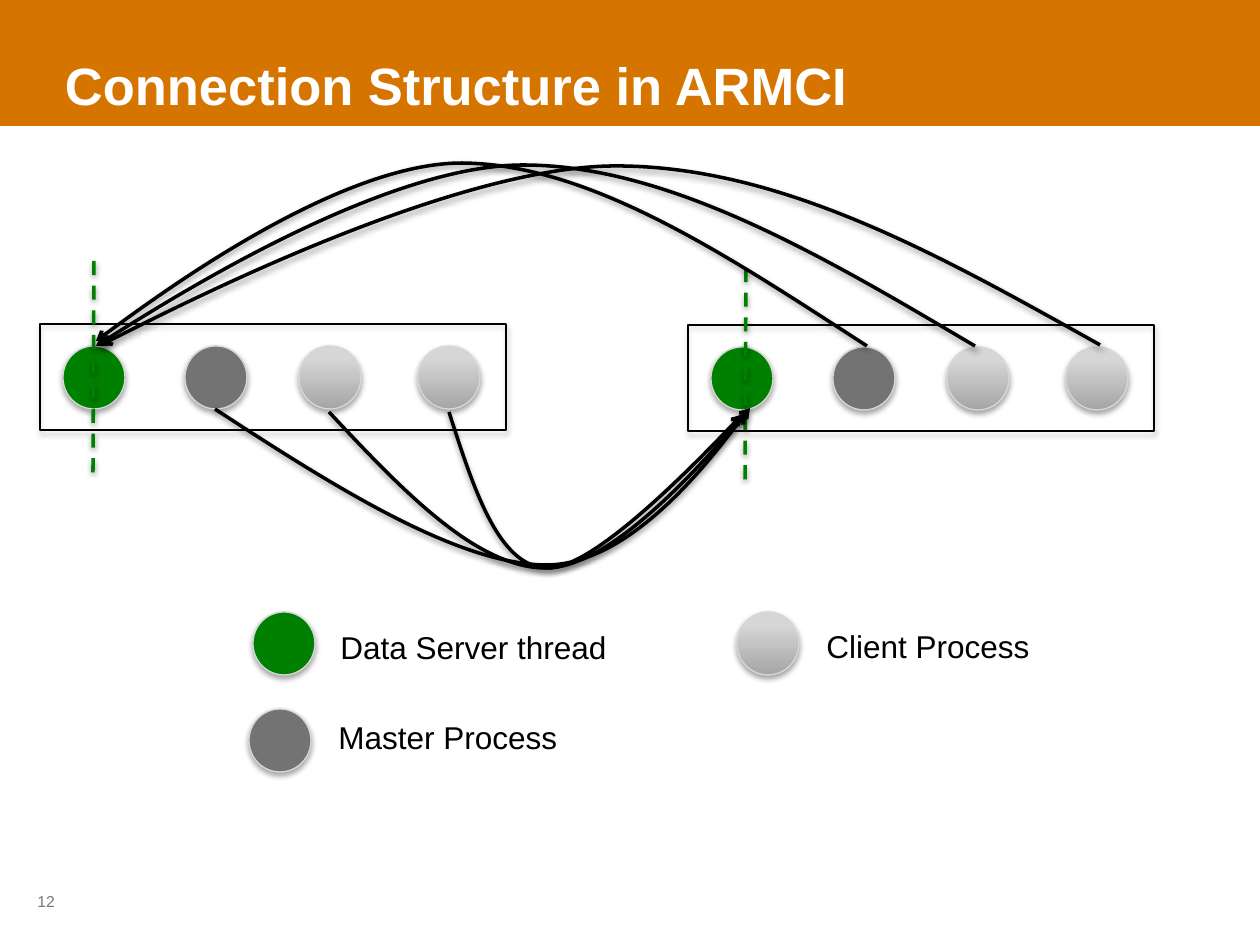
from dataclasses import dataclass

from lxml.etree import SubElement
from pptx import Presentation
from pptx.dml.color import RGBColor
from pptx.enum.dml import MSO_LINE
from pptx.enum.shapes import MSO_CONNECTOR, MSO_SHAPE
from pptx.enum.text import MSO_ANCHOR, MSO_AUTO_SIZE
from pptx.oxml.ns import qn
from pptx.slide import Slide
from pptx.util import Emu, Pt

SCALE = 914400 / 126
COLORS = {
    "banner": "D57500", "white": "FFFFFF", "black": "000000", "number": "777777",
    "server": "008000", "master": "737373", "rim": "D8D8D8",
}
CLIENT_STOPS = ((0, "A5A5A5"), (80, "D6D6D6"), (100, "D7D7D7"))
CIRCLE_WIDTH, CIRCLE_HEIGHT = 62, 63


@dataclass(frozen=True)
class Node:
    left: int
    top: int


@dataclass(frozen=True)
class Process:
    offset: int
    kind: str


@dataclass(frozen=True)
class LegendEntry:
    kind: str
    circle: tuple[int, int]
    label: str
    box: tuple[int, int, int, int]


@dataclass(frozen=True)
class Connection:
    start: tuple[int, int]
    leave: tuple[int, int]
    approach: tuple[int, int]
    middle: tuple[int, int]
    depart: tuple[int, int]
    end: tuple[int, int]


NODES = (Node(40, 324), Node(688, 325))
PROCESSES = (
    Process(23, "server"), Process(145, "master"),
    Process(259, "client"), Process(378, "client"),
)
LEGEND = (
    LegendEntry("server", (253, 612), "Data Server thread", (328, 622, 294, 50)),
    LegendEntry("master", (249, 709), "Master Process", (326, 712, 247, 50)),
    LegendEntry("client", (737, 612), "Client Process", (814, 621, 231, 50)),
)
THREAD_LINES = ((94, 261, 93, 476), (746, 268, 745, 484))
CONNECTIONS = (
    Connection((867, 346), (728, 256), (591, 164), (462, 163), (333, 163), (96, 341)),
    Connection((975, 346), (823, 256), (669, 165), (523, 165), (377, 165), (96, 346)),
    Connection((1100, 345), (941, 256), (782, 166), (616, 166), (449, 166), (101, 345)),
    Connection((215, 409), (336, 488), (457, 564), (546, 565), (634, 565), (746, 413)),
    Connection((329, 412), (402, 490), (476, 568), (546, 568), (616, 568), (750, 408)),
    Connection((449, 412), (474, 490), (499, 568), (548, 568), (596, 569), (742, 415)),
)


def px(length: int) -> Emu:
    """Turn pixels into EMU."""
    return Emu(round(length * SCALE))


def color(name: str) -> RGBColor:
    """Look up a named colour."""
    return RGBColor.from_string(COLORS[name])


def add_shadow(shape, opacity: int, distance: int) -> None:
    """Give a shape a soft shadow that falls straight down."""
    effects = SubElement(shape.element.spPr, qn("a:effectLst"))
    shadow = SubElement(effects, qn("a:outerShdw"), blurRad="40000", dist=str(distance),
                        dir="5400000", rotWithShape="0")
    tint = SubElement(shadow, qn("a:srgbClr"), val=COLORS["black"])
    SubElement(tint, qn("a:alpha"), val=str(opacity * 1000))


def set_line(shape, name: str, width: float) -> None:
    """Set the colour and width of an outline."""
    shape.line.color.rgb = color(name)
    shape.line.width = Pt(width)


def fill_client(shape) -> None:
    """Fill a client circle with its vertical grey gradient."""
    shape.fill.gradient()
    shape.fill.gradient_angle = 90
    stops = shape.element.spPr.find(".//" + qn("a:gsLst"))
    for stop in list(stops):
        stops.remove(stop)
    for position, value in CLIENT_STOPS:
        stop = SubElement(stops, qn("a:gs"), pos=str(position * 1000))
        SubElement(stop, qn("a:srgbClr"), val=value)


def add_circle(slide: Slide, kind: str, left: int, top: int) -> None:
    """Draw one process circle."""
    shape = slide.shapes.add_shape(MSO_SHAPE.OVAL, px(left), px(top),
                                   px(CIRCLE_WIDTH), px(CIRCLE_HEIGHT))
    if kind == "client":
        fill_client(shape)
    else:
        shape.fill.solid()
        shape.fill.fore_color.rgb = color(kind)
    set_line(shape, "rim", 0.75)
    add_shadow(shape, 35, 23000)


def add_node(slide: Slide, node: Node) -> None:
    """Draw a node frame with its processes."""
    frame = slide.shapes.add_shape(MSO_SHAPE.RECTANGLE, px(node.left), px(node.top),
                                   px(466), px(106))
    frame.fill.background()
    set_line(frame, "black", 0.75)
    add_shadow(frame, 35, 23000)
    for process in PROCESSES:
        add_circle(slide, process.kind, node.left + process.offset, node.top + 22)


def add_text(slide: Slide, text: str, box: tuple[int, int, int, int], size: int,
             name: str, wrap: bool = True):
    """Add a one-run text box and return its frame."""
    frame = slide.shapes.add_textbox(*map(px, box)).text_frame
    frame.word_wrap = wrap
    frame.auto_size = MSO_AUTO_SIZE.NONE if wrap else MSO_AUTO_SIZE.SHAPE_TO_FIT_TEXT
    frame.vertical_anchor = MSO_ANCHOR.TOP
    run = frame.paragraphs[0].add_run()
    run.text = text
    run.font.name = "Arial"
    run.font.size = Pt(size)
    run.font.color.rgb = color(name)
    return frame


def add_title(slide: Slide, text: str) -> None:
    """Draw the banner and the bold title on it."""
    banner = slide.shapes.add_shape(MSO_SHAPE.RECTANGLE, 0, 0, px(1260), px(126))
    banner.shadow.inherit = False
    banner.fill.solid()
    banner.fill.fore_color.rgb = color("banner")
    banner.line.fill.background()
    frame = add_text(slide, text, (65, 63, 1130, 136), 30, "white")
    frame.margin_left = frame.margin_right = frame.margin_top = frame.margin_bottom = 0
    paragraph = frame.paragraphs[0]
    paragraph.line_spacing = 0.85
    paragraph.runs[0].font.bold = True


def add_thread_line(slide: Slide, ends: tuple[int, int, int, int]) -> None:
    """Draw the dashed line through a data server."""
    line = slide.shapes.add_connector(MSO_CONNECTOR.STRAIGHT, *map(px, ends))
    set_line(line, "server", 2)
    line.line.dash_style = MSO_LINE.DASH
    add_shadow(line, 38, 20000)


def add_connection(slide: Slide, link: Connection) -> None:
    """Draw a curved arrow made of two cubic segments."""
    builder = slide.shapes.build_freeform(*link.start, scale=SCALE)
    builder.add_line_segments((link.leave, link.approach, link.middle,
                               link.depart, link.end, link.end), close=False)
    shape = builder.convert_to_shape()
    outline = shape.element.spPr.find(".//" + qn("a:path"))
    segments = outline.findall(qn("a:lnTo"))
    for first in range(0, len(segments), 3):
        curve = SubElement(outline, qn("a:cubicBezTo"))
        for segment in segments[first:first + 3]:
            curve.append(segment[0])
            outline.remove(segment)
    shape.fill.background()
    set_line(shape, "black", 2)
    SubElement(shape.line._get_or_add_ln(), qn("a:tailEnd"), type="arrow")
    add_shadow(shape, 38, 20000)


def main() -> None:
    """Build the slide and save it."""
    presentation = Presentation()
    presentation.slide_width, presentation.slide_height = px(1260), px(945)
    slide = presentation.slides.add_slide(presentation.slide_layouts[6])
    add_title(slide, "Connection Structure in ARMCI")
    add_text(slide, "12", (25, 886, 84, 32), 9, "number")
    for node in NODES:
        add_node(slide, node)
    for entry in LEGEND:
        add_circle(slide, entry.kind, *entry.circle)
        add_text(slide, entry.label, entry.box, 18, "black", wrap=False)
    for ends in THREAD_LINES:
        add_thread_line(slide, ends)
    for link in CONNECTIONS:
        add_connection(slide, link)
    presentation.save("out.pptx")


if __name__ == "__main__":
    main()
